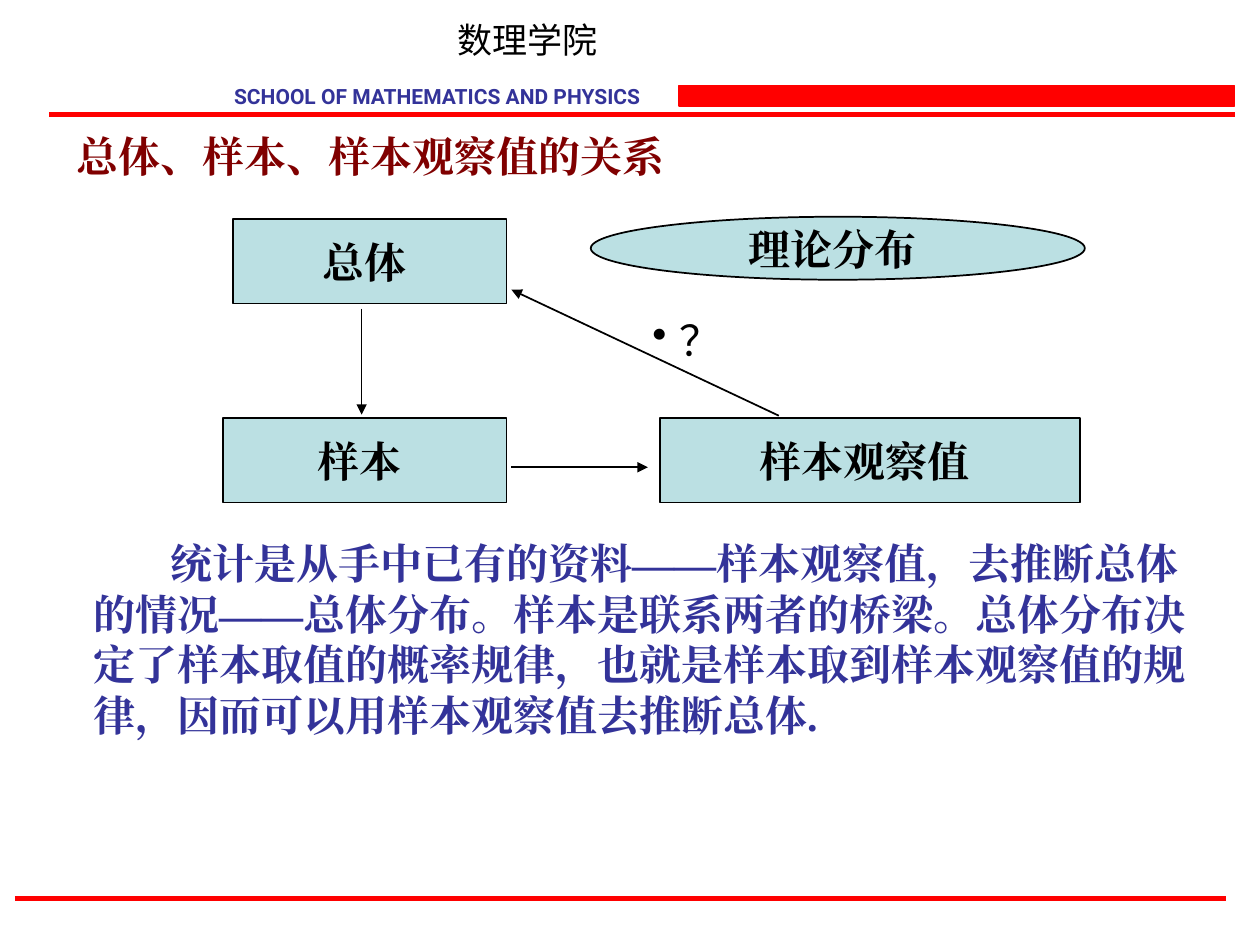
from lxml.etree import SubElement
from pptx import Presentation
from pptx.dml.color import RGBColor
from pptx.enum.shapes import MSO_CONNECTOR, MSO_SHAPE
from pptx.enum.text import MSO_ANCHOR, PP_ALIGN
from pptx.oxml.ns import qn
from pptx.util import Cm, Pt

RED, BLACK, BLUE, MAROON, PALE = "FF0000", "000000", "333399", "800000", "BBE0E3"
SERIF, CJK, SANS = "Times New Roman", "Noto Sans CJK SC", "Roboto"

# Lengths in cm: left, top, width, height
BAR = (13.69, 1.73, 11.2, 0.41)
RULES = [(0.99, 2.31, 24.89, 2.31), (0.3, 18.12, 24.71, 18.12)]
NODES = [
    ("总体 ", MSO_SHAPE.RECTANGLE, (4.7, 4.42, 5.51, 1.7)),
    ("样本 ", MSO_SHAPE.RECTANGLE, (4.5, 8.43, 5.71, 1.7)),
    ("样本观察值 ", MSO_SHAPE.RECTANGLE, (13.31, 8.43, 8.46, 1.7)),
    ("理论分布 ", MSO_SHAPE.OVAL, (11.91, 4.37, 9.96, 1.27)),
]
ARROWS = [
    (7.29, 6.22, 7.29, 8.36),
    (10.31, 9.42, 13.06, 9.42),
    (15.7, 8.38, 10.31, 5.84),
]
TEXTS = [
    ("数理学院", (8.97, 0.25, 3.33, 1.12),
     dict(size=20, font=CJK, bold=False, align=PP_ALIGN.CENTER, wrap=False)),
    ("SCHOOL OF MATHEMATICS AND PHYSICS", (4.47, 1.55, 9.07, 0.76),
     dict(size=12, font=SANS, color=BLUE, wrap=False)),
    ("总体、样本、样本观察值的关系", (1.3, 2.51, 15.6, 1.27), dict(color=MAROON)),
    ("？", (12.9, 6.22, 1.27, 1.27),
     dict(font=CJK, bold=False, bullet="•", indent=-0.55, wrap=False)),
    ("统计是从手中已有的资料——样本观察值，去推断总体的情况——总体分布。"
     "样本是联系两者的桥梁。总体分布决定了样本取值的概率规律，"
     "也就是样本取到样本观察值的规律，因而可以用样本观察值去推断总体.",
     (1.63, 10.72, 23.06, 4.32), dict(color=BLUE, indent=1.55)),
]


def rgb(color):
    return RGBColor.from_string(color)


def cm(values):
    return [Cm(value) for value in values]


def write(shape, text, size=24, font=SERIF, color=BLACK, bold=True,
          align=PP_ALIGN.LEFT, wrap=True, bullet=None, indent=0):
    """Fill a shape with one paragraph; a negative indent hangs the first line."""
    frame = shape.text_frame
    frame.word_wrap = wrap
    paragraph = frame.paragraphs[0]
    paragraph.alignment = align
    properties = paragraph._p.get_or_add_pPr()
    properties.set("marL", str(Cm(max(-indent, 0))))
    properties.set("indent", str(Cm(indent)))
    if bullet:
        SubElement(properties, qn("a:buChar")).set("char", bullet)
    run = paragraph.add_run()
    run.text = text
    run.font.size = Pt(size)
    run.font.bold = bold
    run.font.name = font
    run.font.color.rgb = rgb(color)
    SubElement(run._r.get_or_add_rPr(), qn("a:ea")).set("typeface", font)


def add_filled(slide, kind, box, fill, line, width):
    shape = slide.shapes.add_shape(kind, *cm(box))
    shape.shadow.inherit = False
    shape.fill.solid()
    shape.fill.fore_color.rgb = rgb(fill)
    shape.line.color.rgb = rgb(line)
    shape.line.width = Pt(width)
    return shape


def add_line(slide, ends, color, width, arrow=False):
    connector = slide.shapes.add_connector(MSO_CONNECTOR.STRAIGHT, *cm(ends))
    connector.line.color.rgb = rgb(color)
    connector.line.width = Pt(width)
    if arrow:
        SubElement(connector.line._get_or_add_ln(), qn("a:tailEnd")).set("type", "triangle")
    SubElement(connector._element.spPr, qn("a:effectLst"))


def main():
    presentation = Presentation()
    presentation.slide_width, presentation.slide_height = Cm(25.4), Cm(19.05)
    slide = presentation.slides.add_slide(presentation.slide_layouts[6])

    add_filled(slide, MSO_SHAPE.RECTANGLE, BAR, RED, RED, 0.75)
    for ends in RULES:
        add_line(slide, ends, RED, 3)
    for text, kind, box in NODES:
        node = add_filled(slide, kind, box, PALE, BLACK, 1)
        node.text_frame.vertical_anchor = MSO_ANCHOR.MIDDLE
        write(node, text, align=PP_ALIGN.CENTER, wrap=False)
    for ends in ARROWS:
        add_line(slide, ends, BLACK, 1, arrow=True)
    for text, box, style in TEXTS:
        write(slide.shapes.add_textbox(*cm(box)), text, **style)

    presentation.save("out.pptx")


if __name__ == "__main__":
    main()
